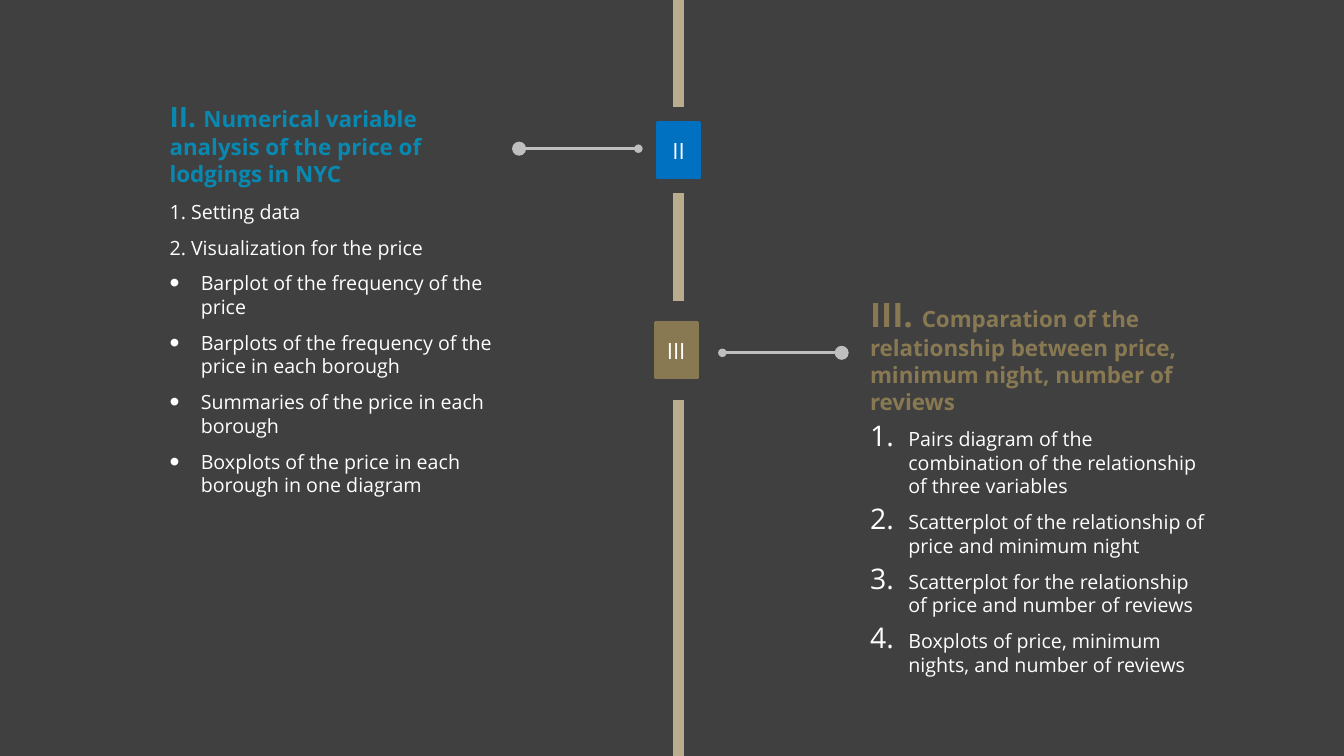
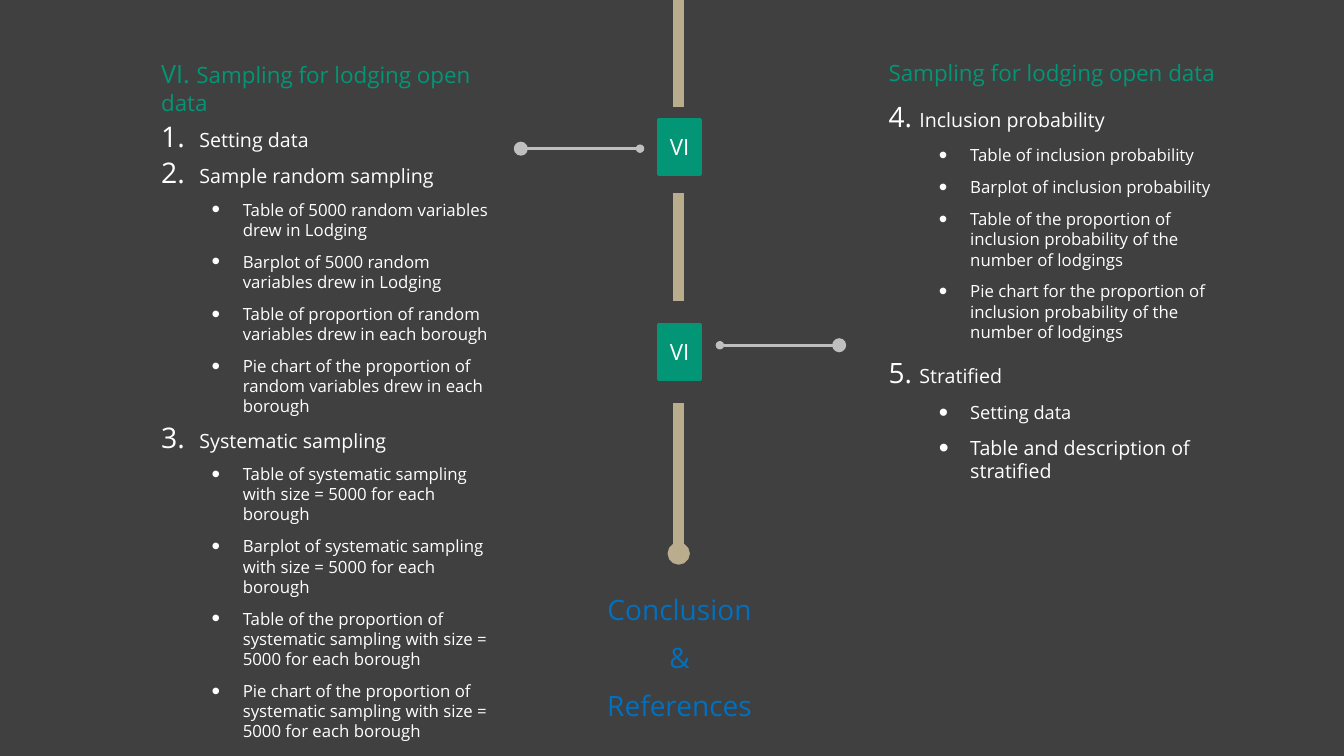
"""Build two timeline slides outlining an analysis of lodging prices."""
import lxml.etree
import pptx
import pptx.dml.color
import pptx.enum.shapes
import pptx.enum.text
import pptx.oxml.ns
import pptx.util

RGBColor = pptx.dml.color.RGBColor
BACKGROUND = RGBColor(0x40, 0x40, 0x40)
WHITE = RGBColor(0xFF, 0xFF, 0xFF)
SAND = RGBColor(0xBA, 0xAD, 0x8D)
SILVER = RGBColor(0xBF, 0xBF, 0xBF)
TEAL = RGBColor(0x09, 0x89, 0xB1)
BRONZE = RGBColor(0x88, 0x79, 0x52)
BLUE = RGBColor(0x00, 0x70, 0xC0)
GREEN = RGBColor(0x02, 0x96, 0x76)
FONT = "Open Sans"

presentation = pptx.Presentation()
presentation.slide_width = pptx.util.Inches(13.33)
presentation.slide_height = pptx.util.Inches(7.5)
COLUMN = presentation.slide_width / 160
ROW = presentation.slide_height / 90

AXIS = 80.8
BADGE_SIZE = (5, 6.6)
OUTLINE_SIZE = (42.6, 13.1)
CENTER = pptx.enum.text.PP_ALIGN.CENTER

LIST_STYLES = {
    "plain": {"level": 0, "margin": 0, "hanging": 0, "marker": None},
    "number": {"level": 0, "margin": 0.38, "hanging": 0.38,
               "marker": ("buAutoNum", {"type": "arabicPeriod"}, FONT)},
    "bullet": {"level": 0, "margin": 0.31, "hanging": 0.31,
               "marker": ("buChar", {"char": "•"}, "Arial")},
    "subbullet": {"level": 1, "margin": 0.81, "hanging": 0.31,
                  "marker": ("buChar", {"char": "•"}, "Arial")},
}


def add_line(slide, start, end, color, width, ends):
    line = slide.shapes.add_connector(
        pptx.enum.shapes.MSO_CONNECTOR.STRAIGHT,
        round(start[0] * COLUMN), round(start[1] * ROW),
        round(end[0] * COLUMN), round(end[1] * ROW))
    line.line.color.rgb = color
    line.line.width = pptx.util.Pt(width)
    outline = line.line._get_or_add_ln()
    for tag, size in ends.items():
        lxml.etree.SubElement(outline, pptx.oxml.ns.qn(f"a:{tag}"),
                              type="oval", w=size, len=size)
    lxml.etree.SubElement(line._element.spPr, pptx.oxml.ns.qn("a:effectLst"))


def add_text(slide, position, size, heading_color, bold, alignment, items):
    box = slide.shapes.add_textbox(
        round(position[0] * COLUMN), round(position[1] * ROW),
        round(size[0] * COLUMN), round(size[1] * ROW))
    frame = box.text_frame
    frame.word_wrap = True
    for index, (style_name, *runs) in enumerate(items):
        style = LIST_STYLES[style_name]
        paragraph = frame.paragraphs[0] if index == 0 else frame.add_paragraph()
        layout = {"level": style["level"], "alignment": alignment,
                  "space_after": pptx.util.Pt(6)}
        for name, value in layout.items():
            setattr(paragraph, name, value)
        properties = paragraph._p.get_or_add_pPr()
        properties.set("marL", str(pptx.util.Inches(style["margin"])))
        properties.set("indent", str(-pptx.util.Inches(style["hanging"])))
        if index:
            before = properties.get_or_add_spcBef()
            lxml.etree.SubElement(before, pptx.oxml.ns.qn("a:spcPct"), val="20000")
        if style["marker"]:
            tag, attributes, typeface = style["marker"]
            color = lxml.etree.SubElement(properties, pptx.oxml.ns.qn("a:buClr"))
            lxml.etree.SubElement(color, pptx.oxml.ns.qn("a:srgbClr"), val=str(WHITE))
            for name, values in (("buSzPct", {"val": "145000"}),
                                 ("buFont", {"typeface": typeface}),
                                 (tag, attributes)):
                lxml.etree.SubElement(properties, pptx.oxml.ns.qn(f"a:{name}"), values)
        for text, points in runs:
            run = paragraph.add_run()
            run.text = text
            formats = {"name": FONT, "size": pptx.util.Pt(points),
                       "bold": bold and index == 0}
            for name, value in formats.items():
                setattr(run.font, name, value)
            is_heading = index == 0 or alignment == CENTER
            run.font.color.rgb = heading_color if is_heading else WHITE


price_items = [
    ("plain", ("II. ", 20),
     ("Numerical variable analysis of the price of lodgings in NYC", 16)),
    ("plain", ("1. Setting data", 14)),
    ("plain", ("2. Visualization for the price", 14)),
    ("bullet", ("Barplot of the frequency of the price", 14)),
    ("bullet", ("Barplots of the frequency of the price in each borough", 14)),
    ("bullet", ("Summaries of the price in each borough", 14)),
    ("bullet", ("Boxplots of the price in each borough in one diagram", 14)),
]
comparison_items = [
    ("plain", ("III. ", 24),
     ("Comparation of the relationship between price, minimum night, "
      "number of reviews", 16)),
    ("number", ("Pairs diagram of the combination of the relationship "
                "of three variables", 14)),
    ("number", ("Scatterplot of the relationship of price and minimum night", 14)),
    ("number", ("Scatterplot for the relationship of price and number of reviews", 14)),
    ("number", ("Boxplots of price, minimum nights, and number of reviews", 14)),
]
sampling_items = [
    ("plain", ("VI. ", 18), ("Sampling for lodging open data", 16)),
    ("number", ("Setting data", 14)),
    ("number", ("Sample random sampling", 14)),
    ("subbullet", ("Table of 5000 random variables drew in Lodging", 12)),
    ("subbullet", ("Barplot of 5000 random variables drew in Lodging", 12)),
    ("subbullet", ("Table of proportion of random variables drew in each borough", 12)),
    ("subbullet", ("Pie chart of the proportion of random variables drew "
                   "in each borough", 12)),
    ("number", ("Systematic sampling", 14)),
    ("subbullet", ("Table of systematic sampling with size = 5000 "
                   "for each borough", 12)),
    ("subbullet", ("Barplot of systematic sampling with size = 5000 "
                   "for each borough", 12)),
    ("subbullet", ("Table of the proportion of systematic sampling "
                   "with size = 5000 for each borough", 12)),
    ("subbullet", ("Pie chart of the proportion of systematic sampling "
                   "with size = 5000 for each borough", 12)),
]
inclusion_items = [
    ("plain", ("Sampling for lodging open data", 16)),
    ("plain", ("4. ", 20), ("Inclusion probability", 14)),
    ("subbullet", ("Table of inclusion probability", 12)),
    ("subbullet", ("Barplot of inclusion probability", 12)),
    ("subbullet", ("Table of the proportion of inclusion probability "
                   "of the number of lodgings", 12)),
    ("subbullet", ("Pie chart for the proportion of inclusion probability "
                   "of the number of lodgings", 12)),
    ("plain", ("5. ", 20), ("Stratified", 14)),
    ("subbullet", ("Setting data", 13)),
    ("subbullet", ("Table and description of stratified", 14)),
]
closing_items = [("plain", (text, 20)) for text in ("Conclusion", "&", "References")]

slides = [
    {
        "last_segment": (47.6, 90, {}),
        "pointers": [(61.8, 76, 17.7, "lg", "med"), (86, 100.2, 42, "med", "lg")],
        "outlines": [
            ((19, 11.3), OUTLINE_SIZE, TEAL, True, None, price_items),
            ((102.4, 34.4), OUTLINE_SIZE, BRONZE, True, None, comparison_items),
        ],
        "badges": [("III", 78, 38.4, BRONZE), ("II", 78.3, 14.6, BLUE)],
    },
    {
        "last_segment": (48, 65.9, {"tailEnd": "sm"}),
        "pointers": [(62, 76.2, 17.7, "lg", "med"), (85.7, 99.9, 41.1, "med", "lg")],
        "outlines": [
            ((18, 6.4), OUTLINE_SIZE, GREEN, False, None, sampling_items),
            ((104.6, 6.4), OUTLINE_SIZE, GREEN, False, None, inclusion_items),
            ((30.7, 70), (100.4, 16.2), BLUE, False, CENTER, closing_items),
        ],
        "badges": [("VI", 78.4, 14.2, GREEN), ("VI", 78.4, 38.6, GREEN)],
    },
]

for content in slides:
    slide = presentation.slides.add_slide(presentation.slide_layouts[6])
    slide.background.fill.solid()
    slide.background.fill.fore_color.rgb = BACKGROUND

    for top, bottom, ends in ((0, 12.7, {}), (23, 35.8, {}), content["last_segment"]):
        add_line(slide, (AXIS, top), (AXIS, bottom), SAND, 8, ends)
    for left, right, height, head, tail in content["pointers"]:
        add_line(slide, (left, height), (right, height), SILVER, 2,
                 {"headEnd": head, "tailEnd": tail})
    for outline in content["outlines"]:
        add_text(slide, *outline)

    for label, left, top, color in content["badges"]:
        badge = slide.shapes.add_shape(
            pptx.enum.shapes.MSO_SHAPE.RECTANGLE,
            round(left * COLUMN), round(top * ROW),
            round(BADGE_SIZE[0] * COLUMN), round(BADGE_SIZE[1] * ROW))
        badge.shadow.inherit = False
        badge.fill.solid()
        badge.fill.fore_color.rgb = color
        badge.line.color.rgb = color
        badge.line.width = pptx.util.Pt(2)
        frame = badge.text_frame
        frame.margin_left = frame.margin_right = 0
        frame.vertical_anchor = pptx.enum.text.MSO_ANCHOR.MIDDLE
        paragraph = frame.paragraphs[0]
        paragraph.alignment = CENTER
        run = paragraph.add_run()
        run.text = label
        for name, value in {"name": FONT, "size": pptx.util.Pt(16)}.items():
            setattr(run.font, name, value)
        run.font.color.rgb = WHITE

presentation.save("out.pptx")
